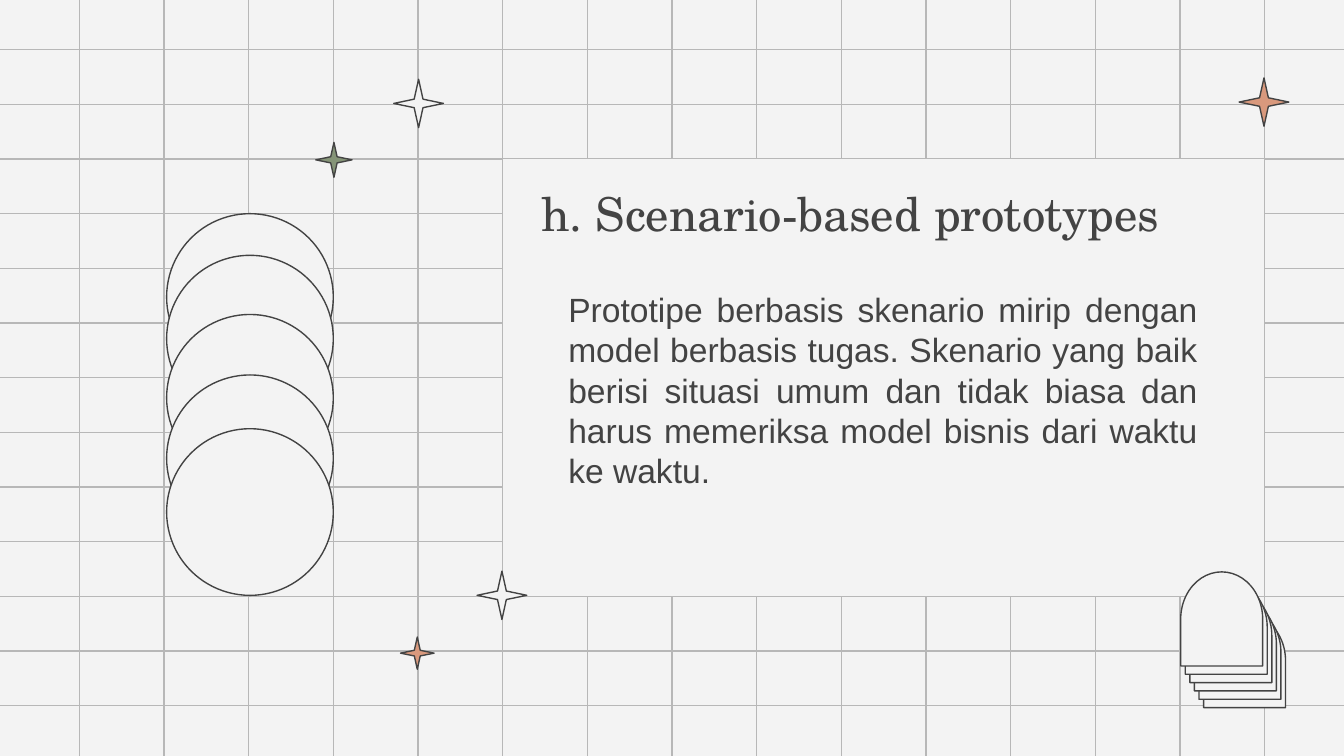
from lxml.etree import SubElement
from pptx import Presentation
from pptx.dml.color import RGBColor
from pptx.enum.shapes import MSO_CONNECTOR as Conn, MSO_SHAPE as Kind
from pptx.enum.text import MSO_ANCHOR as Anchor, PP_ALIGN as Align
from pptx.oxml.ns import qn
from pptx.util import Inches, Pt

PAPER, INK, GRID = "F3F3F3", "434343", "B7B7B7"
CORAL, SAGE = "D9997D", "859477"


def color(code):
    return RGBColor.from_string(code)


class Deck:
    """Holds the style and the current slide."""

    def __init__(self, slide):
        self.slide = slide
        self.width = Pt(0.75)
        fill = slide.background.fill
        fill.solid()
        fill.fore_color.rgb = color(PAPER)

    def line(self, x1, y1, x2, y2):
        line = self.slide.shapes.add_connector(
            Conn.STRAIGHT, Inches(x1), Inches(y1), Inches(x2), Inches(y2))
        line.line.color.rgb = color(GRID)
        line.line.width = self.width
        SubElement(line._element.spPr, qn("a:effectLst"))

    def shape(self, kind, x, y, w, h, fill=PAPER, edge=INK):
        shape = self.slide.shapes.add_shape(
            kind, Inches(x), Inches(y), Inches(w), Inches(h))
        shape.shadow.inherit = False
        shape.fill.solid()
        shape.fill.fore_color.rgb = color(fill)
        shape.line.color.rgb = color(edge)
        shape.line.width = self.width
        return shape

    def star(self, x, y, w, h, fill=PAPER):
        self.shape(Kind.STAR_4_POINT, x, y, w, h, fill).adjustments[0] = 0.125

    def text(self, words, x, y, w, h, font, size, align, anchor):
        box = self.slide.shapes.add_textbox(
            Inches(x), Inches(y), Inches(w), Inches(h))
        frame = box.text_frame
        frame.word_wrap = True
        frame.vertical_anchor = anchor
        frame.margin_left = frame.margin_right = Inches(0.1)
        frame.margin_top = frame.margin_bottom = Inches(0.1)
        frame.text = words
        para = frame.paragraphs[0]
        para.alignment = align
        face = para.runs[0].font
        face.name, face.size = font, Pt(size)
        face.color.rgb = color(INK)


def main():
    prs = Presentation()
    prs.slide_width = Inches(10)
    prs.slide_height = prs.slide_width * 9 // 16
    deck = Deck(prs.slides.add_slide(prs.slide_layouts[6]))

    # Each grid line runs in two halves that meet mid-slide
    for top, end in ((-0.03, 2.81), (2.81, 5.66)):
        for col in range(15):
            x = 0.59 + 0.63 * col
            deck.line(x, top, x, end)
    for left, end in ((-0.04, 5), (5, 10.04)):
        for row in range(13):
            y = 0.37 + (5.25 - 0.37) / 12 * row
            deck.line(left, y, end, y)

    deck.star(9.22, 0.58, 0.37, 0.36, CORAL)
    deck.shape(Kind.RECTANGLE, 3.74, 1.18, 5.67, 3.26, edge=GRID)
    deck.text("h. Scenario-based prototypes", 3.93, 1.28, 5.43, 0.61,
              "TeX Gyre Schola", 25, Align.LEFT, Anchor.BOTTOM)
    deck.text("Prototipe berbasis skenario mirip dengan model berbasis tugas. "
              "Skenario yang baik berisi situasi umum dan tidak biasa dan "
              "harus memeriksa model bisnis dari waktu ke waktu.",
              4.13, 2.05, 4.88, 2.3, "Arial", 18, Align.JUSTIFY, Anchor.TOP)

    for y in (1.59, 1.9, 2.34, 2.79, 3.19):
        deck.shape(Kind.OVAL, 1.24, y, 1.24, 1.24)

    deck.star(2.93, 0.59, 0.37, 0.36)
    deck.star(2.35, 1.06, 0.27, 0.26, SAGE)
    deck.star(2.98, 4.74, 0.25, 0.24, CORAL)
    deck.star(3.55, 4.25, 0.37, 0.36)

    for step in range(6):
        arch = deck.shape(Kind.FLOWCHART_DELAY, 8.91 - 0.17 / 5 * step,
                          4.61 - 0.31 / 5 * step, 0.7, 0.61)
        arch.rotation = 270

    prs.save("out.pptx")


if __name__ == "__main__":
    main()
